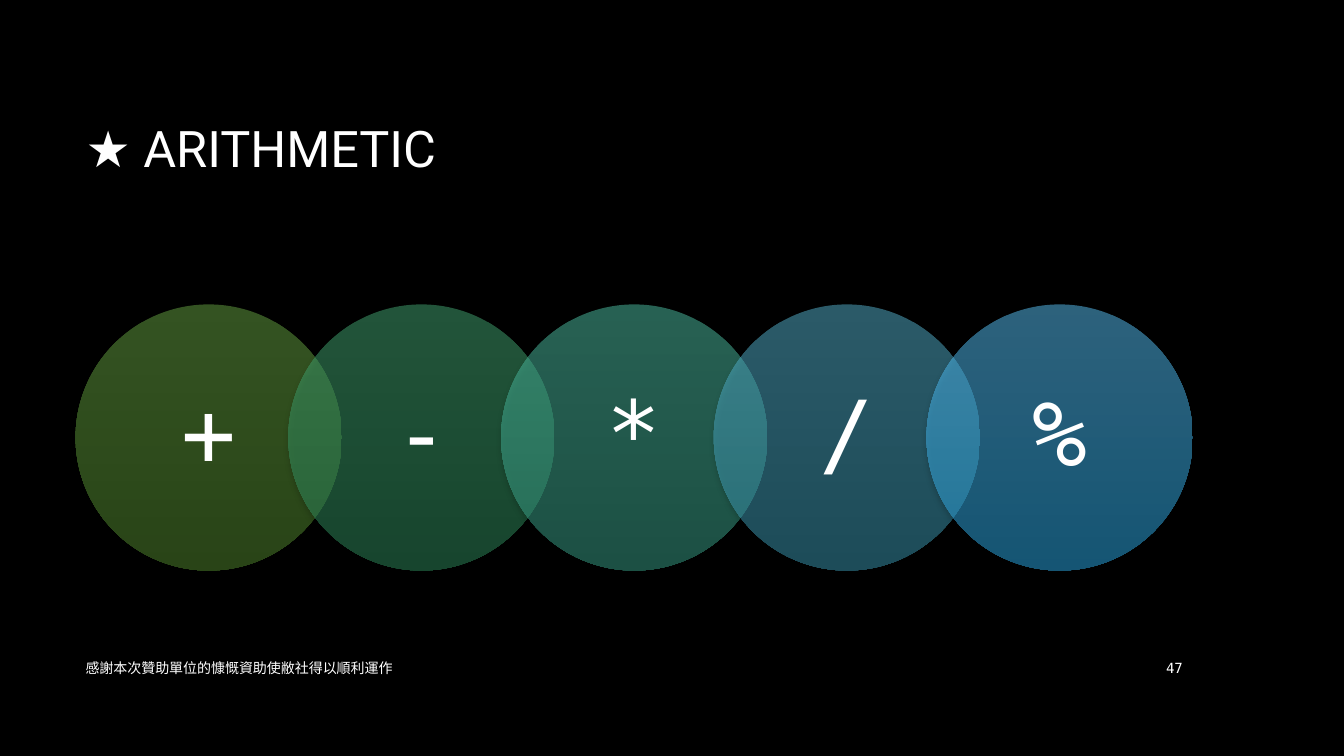
import pptx
import pptx.util
import pptx.dml.color
import pptx.enum.shapes
import pptx.enum.text
import pptx.oxml.ns
from lxml import etree

Inches = pptx.util.Inches
ALIGN = pptx.enum.text.PP_ALIGN
MONO, SANS = "DejaVu Sans Mono", "Roboto"
COLORS = {"background": "000000", "text": "FFFFFF", "shadow": "000000"}
# Operator symbol: top and bottom colour of its circle
OPERATORS = {
    "+": ("69A745", "52892E"),
    "-": ("45A974", "2E8B5C"),
    "*": ("4FC2A6", "39A188"),
    "/": ("57B5D0", "3A99B3"),
    "%": ("5AC4F9", "2BABE8"),
}


def rgb(value):
    return pptx.dml.color.RGBColor.from_string(value)


def add_child(parent, tag, **attributes):
    child = etree.SubElement(parent, pptx.oxml.ns.qn(tag))
    for key, value in attributes.items():
        child.set(key, str(value))
    return child


def write_text(shape, text, size, font=MONO, align=ALIGN.LEFT, spacing=None,
               margins=(0.1, 0.05)):
    frame = shape.text_frame
    frame.word_wrap = True
    frame.auto_size = pptx.enum.text.MSO_AUTO_SIZE.NONE
    frame.vertical_anchor = pptx.enum.text.MSO_ANCHOR.MIDDLE
    frame.margin_left = frame.margin_right = Inches(margins[0])
    frame.margin_top = frame.margin_bottom = Inches(margins[1])
    paragraph = frame.paragraphs[0]
    paragraph.alignment = align
    paragraph.line_spacing = spacing
    run = paragraph.add_run()
    run.text = text
    run.font.size = pptx.util.Pt(size)
    run.font.name = font
    run.font.color.rgb = rgb(COLORS["text"])


def add_title(slide, left, top, width, height):
    title = slide.shapes.title
    title.left, title.top = Inches(left), Inches(top)
    title.width, title.height = Inches(width), Inches(height)
    write_text(title, "★ ARITHMETIC", 36, font=SANS)


def add_circle(shapes, left, top, diameter, colors):
    circle = shapes.add_shape(pptx.enum.shapes.MSO_SHAPE.OVAL, Inches(left),
                              Inches(top), Inches(diameter), Inches(diameter))
    circle.line.fill.background()

    # Half-transparent gradient running downwards
    circle.fill.gradient()
    circle.fill.gradient_angle = 270
    for stop, color in zip(circle.fill.gradient_stops, colors):
        stop.color.rgb = rgb(color)
    properties = circle.element.spPr
    for color in properties.iter(pptx.oxml.ns.qn("a:srgbClr")):
        add_child(color, "a:alpha", val=50000)

    # Soft shadow below
    circle.shadow.inherit = False
    effects = properties.find(pptx.oxml.ns.qn("a:effectLst"))
    shadow = add_child(effects, "a:outerShdw", blurRad=pptx.util.Pt(4),
                       dist=pptx.util.Pt(3), dir=5400000, rotWithShape=0)
    color = add_child(shadow, "a:srgbClr", val=COLORS["shadow"])
    add_child(color, "a:alpha", val=35000)


def add_operators(slide, left, top, width, diameter):
    """Spread overlapping circles evenly over the given width."""
    step = (width - diameter) / (len(OPERATORS) - 1)
    inset = 0.39
    side = Inches(diameter - 2 * inset)
    for index, (symbol, colors) in enumerate(OPERATORS.items()):
        x = left + index * step
        add_circle(slide.shapes, x, top, diameter, colors)
        label = slide.shapes.add_textbox(Inches(x + inset), Inches(top + inset),
                                         side, side)
        write_text(label, symbol, 65, align=ALIGN.CENTER, spacing=0.9,
                   margins=(0.15, 0.09))


def add_footer(slide, left, top, width, height):
    number_width, thanks_width = 0.6, 8.56
    number = slide.shapes.add_textbox(Inches(left + width - number_width), Inches(top),
                                      Inches(number_width), Inches(height))
    write_text(number, "47", 10, align=ALIGN.RIGHT)
    thanks = slide.shapes.add_textbox(Inches(left), Inches(top),
                                      Inches(thanks_width), Inches(height))
    write_text(thanks, "感謝本次贊助單位的慷慨資助使敝社得以順利運作", 10)


def main():
    deck = pptx.Presentation()
    deck.slide_width, deck.slide_height = Inches(13.33), Inches(7.5)
    slide = deck.slides.add_slide(deck.slide_layouts[5])
    slide.background.fill.solid()
    slide.background.fill.fore_color.rgb = rgb(COLORS["background"])

    left, width = 0.75, 11.08
    add_footer(slide, left, 6.42, width, 0.41)
    add_title(slide, left, 0.67, width, 1.59)
    add_operators(slide, left, 3.02, width, 2.64)
    deck.save("out.pptx")


if __name__ == "__main__":
    main()
